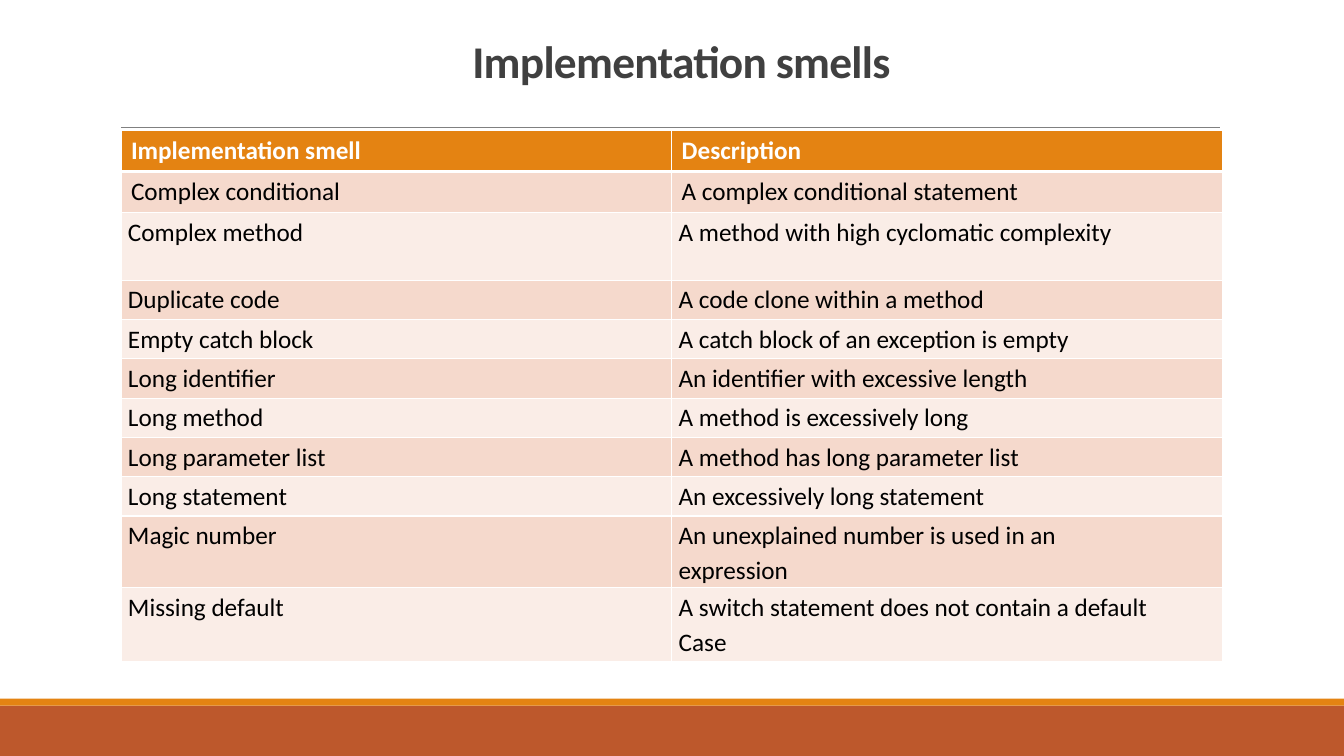
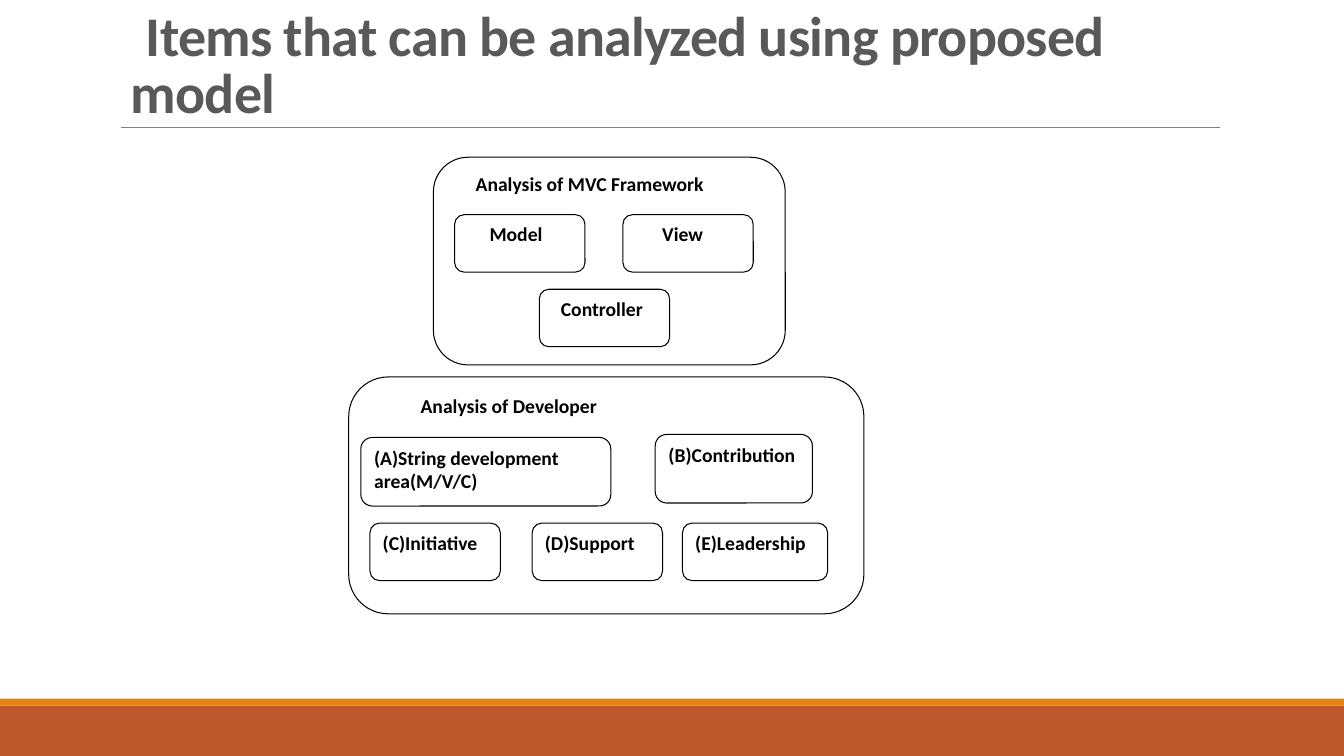
import pptx
import pptx.dml.color
import pptx.enum.shapes
import pptx.enum.text
import pptx.oxml
import pptx.oxml.ns
import pptx.util

ALIGN = pptx.enum.text.PP_ALIGN
ANCHOR = pptx.enum.text.MSO_ANCHOR
SHAPE = pptx.enum.shapes.MSO_SHAPE


def rgb(code):
    return pptx.dml.color.RGBColor.from_string(code)


class Style:
    """Shared look plus the current slide; lengths are percent of the slide's size."""

    font = "Calibri"
    rust, orange, rule = "BD582C", "E48312", "808080"
    white, black = "FFFFFF", "000000"
    bands = ("F5D9CC", "FAEDE7")

    def __init__(self):
        self.deck = pptx.Presentation()
        self.deck.slide_width = pptx.util.Inches(13.33)
        self.deck.slide_height = pptx.util.Inches(7.5)
        self.page = None

    def x(self, share):
        return round(self.deck.slide_width * share / 100)

    def y(self, share):
        return round(self.deck.slide_height * share / 100)

    def area(self, left, top, width, height):
        return self.x(left), self.y(top), self.x(width), self.y(height)

    def set_font(self, para, size, color, bold=True):
        para.font.name = self.font
        para.font.size = pptx.util.Pt(size)
        para.font.bold = bold
        para.font.color.rgb = rgb(color)

    def indent(self, para, left, first=0):
        properties = para._p.get_or_add_pPr()
        properties.set("marL", str(self.x(left)))
        properties.set("indent", str(self.x(first)))

    def new_page(self):
        """Add a blank slide with the footer bands and the rule under the title."""
        self.page = self.deck.slides.add_slide(self.deck.slide_layouts[6])
        self.band(93.33, 6.67, self.rust)
        self.band(92.4, 0.93, self.orange)
        line = self.page.shapes.add_connector(
            pptx.enum.shapes.MSO_CONNECTOR.STRAIGHT,
            self.x(9), self.y(16.8), self.x(90.75), self.y(16.8))
        line.line.color.rgb = rgb(self.rule)
        line.line.width = pptx.util.Pt(0.5)
        line._element.spPr.append(pptx.oxml.parse_xml(
            f"<a:effectLst {pptx.oxml.ns.nsdecls('a')}/>"))

    def band(self, top, height, color):
        box = self.page.shapes.add_shape(
            SHAPE.RECTANGLE, *self.area(0, top, 100, height))
        box.shadow.inherit = False
        box.fill.solid()
        box.fill.fore_color.rgb = rgb(color)
        box.line.fill.background()

    def title(self, text, place, size, color, align, anchor, first=0):
        box = self.page.shapes.add_textbox(*self.area(*place))
        frame = box.text_frame
        frame.word_wrap = True
        frame.vertical_anchor = anchor
        para = frame.paragraphs[0]
        para.text = text
        para.alignment = align
        para.line_spacing = 0.85
        self.indent(para, 0, first)
        self.set_font(para, size, color)
        para.font._rPr.set("spc", "-50")

    def card(self, text, left, top, width, height, indent=0):
        """Draw an outlined rounded box with its label at the top left."""
        box = self.page.shapes.add_shape(
            SHAPE.ROUNDED_RECTANGLE, *self.area(left, top, width, height))
        box.shadow.inherit = False
        box.fill.solid()
        box.fill.fore_color.rgb = rgb(self.white)
        box.line.color.rgb = rgb(self.black)
        box.line.width = pptx.util.Pt(0.75)
        frame = box.text_frame
        frame.word_wrap = True
        frame.vertical_anchor = ANCHOR.TOP
        para = frame.paragraphs[0]
        para.text = text
        para.alignment = ALIGN.LEFT
        self.indent(para, indent)
        self.set_font(para, 14, self.black)

    def borders(self, cell, bottom):
        properties = cell._tc.get_or_add_tcPr()
        for side, width in (("L", 1), ("R", 1), ("T", 1), ("B", bottom)):
            properties.append(pptx.oxml.parse_xml(
                f"<a:ln{side} {pptx.oxml.ns.nsdecls('a')} w='{pptx.util.Pt(width)}'>"
                f"<a:solidFill><a:srgbClr val='{self.white}'/></a:solidFill>"
                f"</a:ln{side}>"))

    def table(self, rows, left, top, width, heights):
        frame = self.page.shapes.add_table(
            len(rows), len(rows[0]), *self.area(left, top, width, sum(heights)))
        grid = frame.table
        grid.first_row = grid.horz_banding = False
        for column in grid.columns:
            column.width = self.x(width / len(rows[0]))
        for number, (texts, height) in enumerate(zip(rows, heights)):
            grid.rows[number].height = self.y(height)
            for cell, text in zip(grid.rows[number].cells, texts):
                self.fill_cell(cell, text, number)

    def fill_cell(self, cell, text, number):
        header, compact = number == 0, number > 1
        self.borders(cell, 3 if header else 1)
        cell.fill.solid()
        cell.fill.fore_color.rgb = rgb(
            self.orange if header else self.bands[(number - 1) % 2])
        if compact:
            cell.margin_left = cell.margin_right = pptx.util.Inches(0.07)
            cell.margin_top = cell.margin_bottom = 0
        cell.text = text
        for para in cell.text_frame.paragraphs:
            self.set_font(para, 18, self.white if header else self.black, header)
            if compact:
                para.line_spacing = 1.15


SMELLS = [
    ("Implementation smell", "Description"),
    ("Complex conditional", "A complex conditional statement"),
    ("Complex method", "A method with high cyclomatic complexity"),
    ("Duplicate code", "A code clone within a method"),
    ("Empty catch block", "A catch block of an exception is empty"),
    ("Long identifier", "An identifier with excessive length"),
    ("Long method", "A method is excessively long"),
    ("Long parameter list", "A method has long parameter list"),
    ("Long statement", "An excessively long statement"),
    ("Magic number", "An unexplained number is used in an\nexpression"),
    ("Missing default", "A switch statement does not contain a default\nCase"),
]


def smells_page(style):
    style.new_page()
    style.title("Implementation smells", (9.45, 3.8, 82.5, 9.6), 32.4, "404040",
                ALIGN.CENTER, ANCHOR.MIDDLE)
    heights = [5.47] * 2 + [8.93] + [5.2] * 6 + [9.47, 9.73]
    style.table(SMELLS, 9, 17.2, 81.95, heights)


def analysis_page(style):
    style.new_page()
    style.title("Items that can be analyzed using proposed model",
                (9, 0, 82.5, 17.2), 40, "595959",
                ALIGN.LEFT, ANCHOR.BOTTOM, first=1.12)
    small = (9.7, 7.6)
    style.card("Analysis of MVC Framework", 32.25, 20.8, 26.18, 27.47, 1.65)
    style.card("Model", 33.83, 28.4, *small, 1.65)
    style.card("View", 46.35, 28.4, *small, 1.98)
    style.card("Controller", 40.13, 38.27, *small, 0.66)

    style.card("Analysis of Developer", 25.95, 49.87, 38.33, 31.33, 3.75)
    style.card("(A)String development area(M/V/C)", 26.85, 57.87, 18.6, 9.07)
    style.card("(B)Contribution", 48.75, 57.47, 11.7, 9.07)
    style.card("(C)Initiative", 27.53, 69.2, *small)
    style.card("(D)Support", 39.6, 69.2, *small)
    style.card("(E)Leadership", 50.78, 69.2, 10.8, 7.6)


def main():
    style = Style()
    smells_page(style)
    analysis_page(style)
    style.deck.save("out.pptx")


if __name__ == "__main__":
    main()
